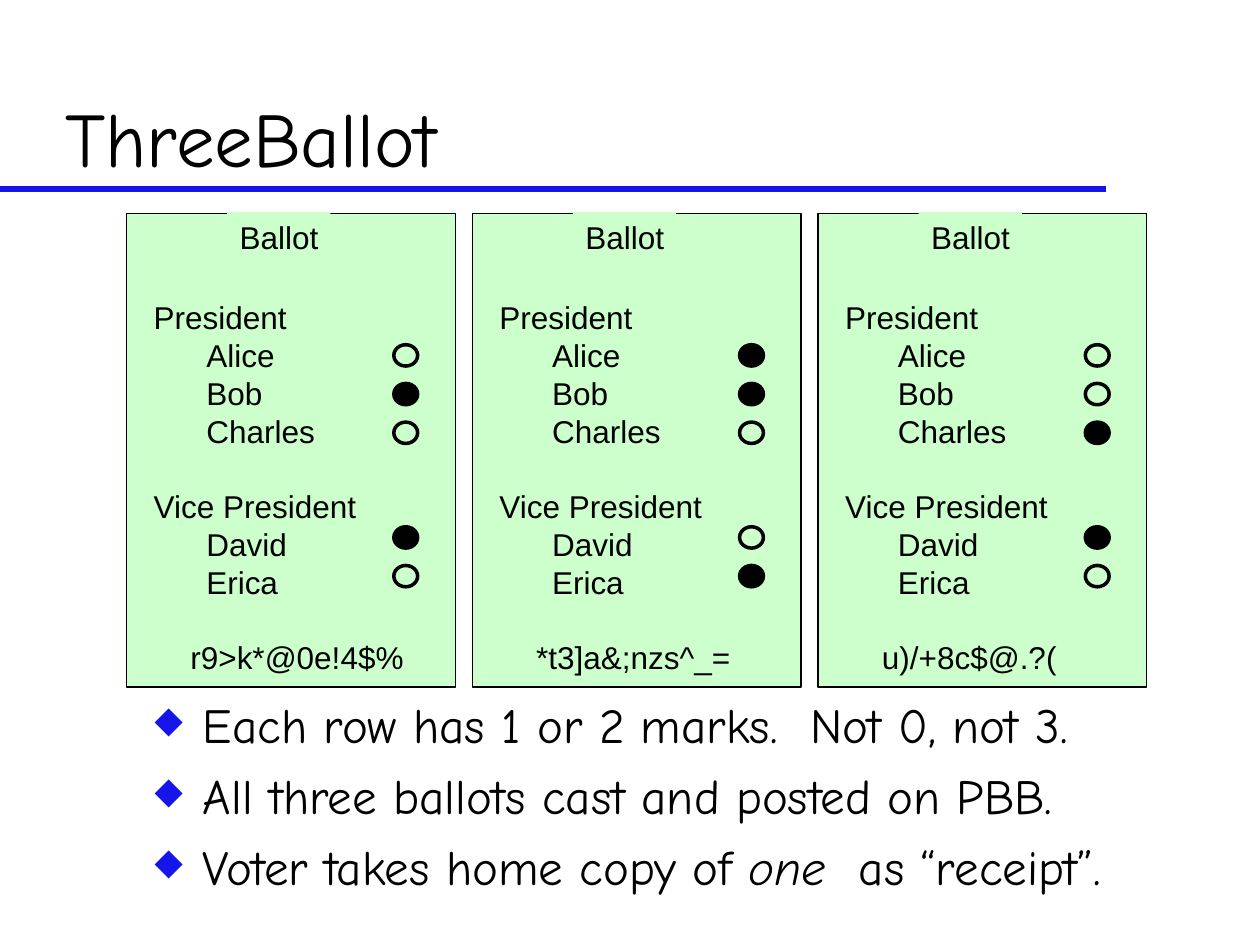
from dataclasses import dataclass

import lxml.etree
import pptx
import pptx.dml.color
import pptx.enum.shapes
import pptx.enum.text
import pptx.oxml.ns
import pptx.util
from pptx.util import Cm

SHAPE = pptx.enum.shapes.MSO_SHAPE


@dataclass(frozen=True)
class Theme:
    ink: pptx.dml.color.RGBColor = pptx.dml.color.RGBColor(0, 0, 0)
    paper: pptx.dml.color.RGBColor = pptx.dml.color.RGBColor(0xCC, 0xFF, 0xCC)
    accent: pptx.dml.color.RGBColor = pptx.dml.color.RGBColor(0x15, 0x15, 0xEA)
    hand_font: str = "Comic Neue"
    ballot_font: str = "Arial"
    title_size: int = 44
    point_size: int = 28
    ballot_size: int = 18
    leading: float = 1.2


THEME = Theme()

RACES = [
    ("President", ["Alice", "Bob", "Charles"], 6.95),
    ("Vice President", ["David", "Erica"], 10.62),
]
BALLOTS = [
    ("r9>k*@0e!4$%", 4.98, ["Bob", "David"]),
    ("*t3]a&;nzs^_=", 4.42, ["Alice", "Bob", "Erica"]),
    ("u)/+8c$@.?(", 4.01, ["Charles", "David"]),
]
BALLOT_LEFT, BALLOT_PITCH = 2.55, 6.97
MARK_PITCH = 0.78

POINTS = [
    [("Each row has 1 or 2 marks.  Not 0, not 3.", False)],
    [("All three ballots cast and posted on PBB.", False)],
    [("Voter takes home copy of ", False), ("one", True), ("  as “receipt”.", False)],
]


def style(paragraph, font_name, size):
    paragraph.font.name = font_name
    paragraph.font.size = pptx.util.Pt(size)
    paragraph.font.color.rgb = THEME.ink


def lead(paragraph, size):
    paragraph.line_spacing = pptx.util.Pt(round(size * THEME.leading, 1))


def indent(paragraph, margin, first_line=0):
    properties = paragraph._p.get_or_add_pPr()
    properties.set("marL", str(Cm(margin)))
    properties.set("indent", str(Cm(first_line)))
    return properties


def add_bullet(paragraph):
    properties = indent(paragraph, 0.97, -0.97)
    color = lxml.etree.SubElement(properties, pptx.oxml.ns.qn("a:buClr"))
    lxml.etree.SubElement(color, pptx.oxml.ns.qn("a:srgbClr"), val=str(THEME.accent))
    lxml.etree.SubElement(properties, pptx.oxml.ns.qn("a:buSzPct"), val="75000")
    lxml.etree.SubElement(properties, pptx.oxml.ns.qn("a:buChar"), char="◆")


def add_paragraph(frame, position):
    return frame.add_paragraph() if position else frame.paragraphs[0]


def add_panel(group, kind, left, top, width, height, fill, line_width=None):
    panel = group.shapes.add_shape(kind, Cm(left), Cm(top), Cm(width), Cm(height))
    panel.shadow.inherit = False
    panel.fill.solid()
    panel.fill.fore_color.rgb = fill
    if line_width is None:
        panel.line.fill.background()
    else:
        panel.line.color.rgb = THEME.ink
        panel.line.width = pptx.util.Pt(line_width)
    return panel


def add_label(group, left, top, width, height, lines):
    label = add_panel(group, SHAPE.RECTANGLE, left, top, width, height, THEME.paper)
    frame = label.text_frame
    frame.word_wrap = True
    frame.auto_size = pptx.enum.text.MSO_AUTO_SIZE.NONE
    frame.margin_right = 0
    frame.vertical_anchor = pptx.enum.text.MSO_ANCHOR.TOP
    for position, (text, margin, starts_race) in enumerate(lines):
        paragraph = add_paragraph(frame, position)
        paragraph.text = text
        paragraph.alignment = pptx.enum.text.PP_ALIGN.LEFT
        indent(paragraph, margin)
        lead(paragraph, THEME.ballot_size)
        if starts_race and position:
            paragraph.space_before = paragraph.line_spacing
        style(paragraph, THEME.ballot_font, THEME.ballot_size)


def add_ballot(slide, left, code, code_width, votes):
    ballot = slide.shapes.add_group_shape()
    add_panel(ballot, SHAPE.RECTANGLE, left, 4.3, 6.63, 9.55, THEME.paper, 0.75)
    add_label(ballot, left + 2.03, 4.27, 2.08, 1.02, [("Ballot", 0, False)])
    race_lines = []
    for office, candidates, _ in RACES:
        race_lines.append((office, 0, True))
        race_lines += [(candidate, 1.06, False) for candidate in candidates]
    add_label(ballot, left + 0.3, 5.89, 4.6, 6.35, race_lines)
    add_label(ballot, left + 1.04, 12.73, code_width, 1.02, [(code, 0, False)])
    for _, candidates, first_mark in RACES:
        for row, candidate in enumerate(candidates):
            fill = THEME.ink if candidate in votes else THEME.paper
            add_panel(ballot, SHAPE.OVAL, left + 5.39, first_mark + row * MARK_PITCH,
                      0.48, 0.43, fill, 2)


def add_rule(slide):
    rule = slide.shapes.add_connector(
        pptx.enum.shapes.MSO_CONNECTOR.STRAIGHT, 0, Cm(3.81), Cm(22.3), Cm(3.81))
    rule.line.color.rgb = THEME.accent
    rule.line.width = pptx.util.Pt(4)
    lxml.etree.SubElement(rule._element.spPr, pptx.oxml.ns.qn("a:effectLst"))


def add_text_frame(slide, left, top, width, height):
    frame = slide.shapes.add_textbox(Cm(left), Cm(top), Cm(width), Cm(height)).text_frame
    frame.word_wrap = True
    return frame


def add_title(slide, text):
    frame = add_text_frame(slide, 1.07, 0.74, 21.59, 3.07)
    frame.vertical_anchor = pptx.enum.text.MSO_ANCHOR.BOTTOM
    frame.text = text
    style(frame.paragraphs[0], THEME.hand_font, THEME.title_size)


def add_points(slide):
    frame = add_text_frame(slide, 2.87, 13.87, 22.1, 5.18)
    for position, pieces in enumerate(POINTS):
        paragraph = add_paragraph(frame, position)
        lead(paragraph, THEME.point_size)
        if position:
            paragraph.space_before = pptx.util.Pt(7)
        add_bullet(paragraph)
        for text, emphasis in pieces:
            run = paragraph.add_run()
            run.text = text
            if emphasis:
                run.font.italic = True
        style(paragraph, THEME.hand_font, THEME.point_size)


def main():
    deck = pptx.Presentation()
    deck.slide_width, deck.slide_height = Cm(25.4), Cm(19.05)
    slide = deck.slides.add_slide(deck.slide_layouts[6])
    add_rule(slide)
    add_title(slide, "ThreeBallot")
    for column, (code, code_width, votes) in enumerate(BALLOTS):
        add_ballot(slide, BALLOT_LEFT + column * BALLOT_PITCH, code, code_width, votes)
    add_points(slide)
    deck.save("out.pptx")


if __name__ == "__main__":
    main()
